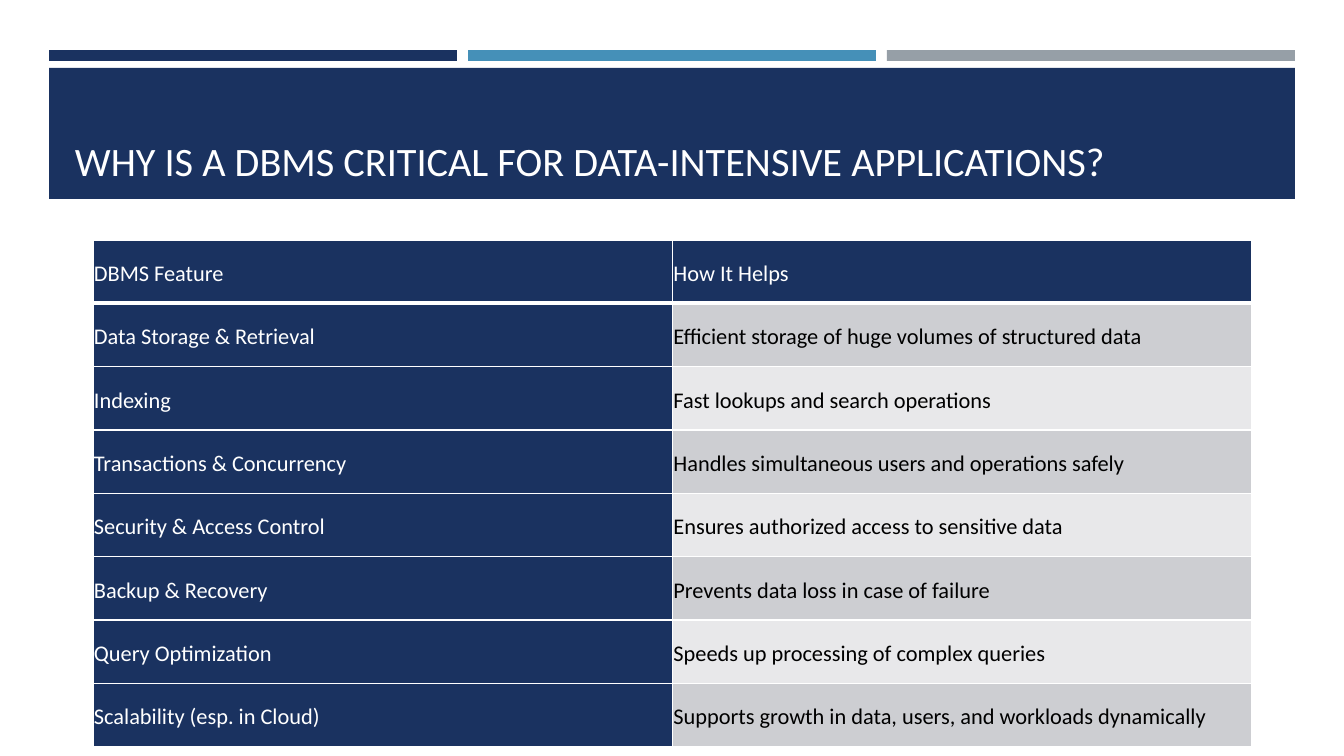
"""Build a slide with a title banner and a table of DBMS features."""
import pptx
import pptx.dml.color
import pptx.enum.shapes
import pptx.enum.text
import pptx.oxml
import pptx.oxml.ns
import pptx.util

TITLE = "WHY IS A DBMS CRITICAL FOR DATA-INTENSIVE APPLICATIONS?"
ROWS = [
    ("DBMS Feature", "How It Helps"),
    ("Data Storage & Retrieval", "Efficient storage of huge volumes of structured data"),
    ("Indexing", "Fast lookups and search operations"),
    ("Transactions & Concurrency", "Handles simultaneous users and operations safely"),
    ("Security & Access Control", "Ensures authorized access to sensitive data"),
    ("Backup & Recovery", "Prevents data loss in case of failure"),
    ("Query Optimization", "Speeds up processing of complex queries"),
    ("Scalability (esp. in Cloud)", "Supports growth in data, users, and workloads dynamically"),
]
FONT = "Calibri"
NAVY, WHITE, BLACK = "1A3260", "FFFFFF", "000000"
STRIPES = [NAVY, "4590B8", "969FA7"]
BANDS = ["E8E8EA", "CDCED2"]
STRIPE_LEFT, STRIPE_TOP, STRIPE_W, STRIPE_H, STRIPE_STEP = 49, 50, 408, 11, 419
BANNER = (49, 68, 1246, 131)
TITLE_BOX = (65, 78, 1216, 112)
TABLE_BOX = (93, 240, 1159, 507)


def px(n):
    return round(n * 914400 / 100.8)


def rgb(color):
    return pptx.dml.color.RGBColor.from_string(color)


def add_bar(s, box, color):
    sp = s.shapes.add_shape(pptx.enum.shapes.MSO_SHAPE.RECTANGLE, *map(px, box))
    sp.shadow.inherit = False
    sp.fill.solid()
    sp.fill.fore_color.rgb = rgb(color)
    sp.line.fill.background()


def style_text(p, size, color):
    font = p.runs[0].font
    font.name, font.size, font.color.rgb = FONT, pptx.util.Pt(size), rgb(color)


def set_borders(cell, is_header):
    tcPr = cell._tc.get_or_add_tcPr()
    for i, side in enumerate("LRTB"):
        width = pptx.util.Pt(3 if is_header and side == "B" else 1)
        tcPr.insert(i, pptx.oxml.parse_xml(
            f'<a:ln{side} {pptx.oxml.ns.nsdecls("a")} w="{width}"><a:solidFill>'
            f'<a:srgbClr val="{WHITE}"/></a:solidFill></a:ln{side}>'))


def fill_cell(cell, text, row, col):
    is_navy = row == 0 or col == 0
    cell.fill.solid()
    cell.fill.fore_color.rgb = rgb(NAVY if is_navy else BANDS[row % 2])
    cell.margin_left = cell.margin_right = px(1)
    cell.margin_top = cell.margin_bottom = px(1)
    cell.vertical_anchor = pptx.enum.text.MSO_ANCHOR.MIDDLE
    p = cell.text_frame.paragraphs[0]
    p.text = text
    p.line_spacing = 1.15
    p.space_after = pptx.util.Pt(8)
    style_text(p, 16, WHITE if is_navy else BLACK)
    set_borders(cell, row == 0)


def add_title(s):
    tf = s.shapes.add_textbox(*map(px, TITLE_BOX)).text_frame
    tf.word_wrap = True
    tf.vertical_anchor = pptx.enum.text.MSO_ANCHOR.BOTTOM
    tf.text = TITLE
    style_text(tf.paragraphs[0], 28.8, WHITE)


def add_features(s):
    table = s.shapes.add_table(len(ROWS), 2, *map(px, TABLE_BOX)).table
    for row, texts in enumerate(ROWS):
        for col, text in enumerate(texts):
            fill_cell(table.cell(row, col), text, row, col)


def main():
    prs = pptx.Presentation()
    prs.slide_width, prs.slide_height = px(1344), px(756)
    s = prs.slides.add_slide(prs.slide_layouts[6])
    for i, color in enumerate(STRIPES):
        add_bar(s, (STRIPE_LEFT + i * STRIPE_STEP, STRIPE_TOP, STRIPE_W, STRIPE_H), color)
    add_bar(s, BANNER, NAVY)
    add_title(s)
    add_features(s)
    prs.save("out.pptx")


if __name__ == "__main__":
    main()
